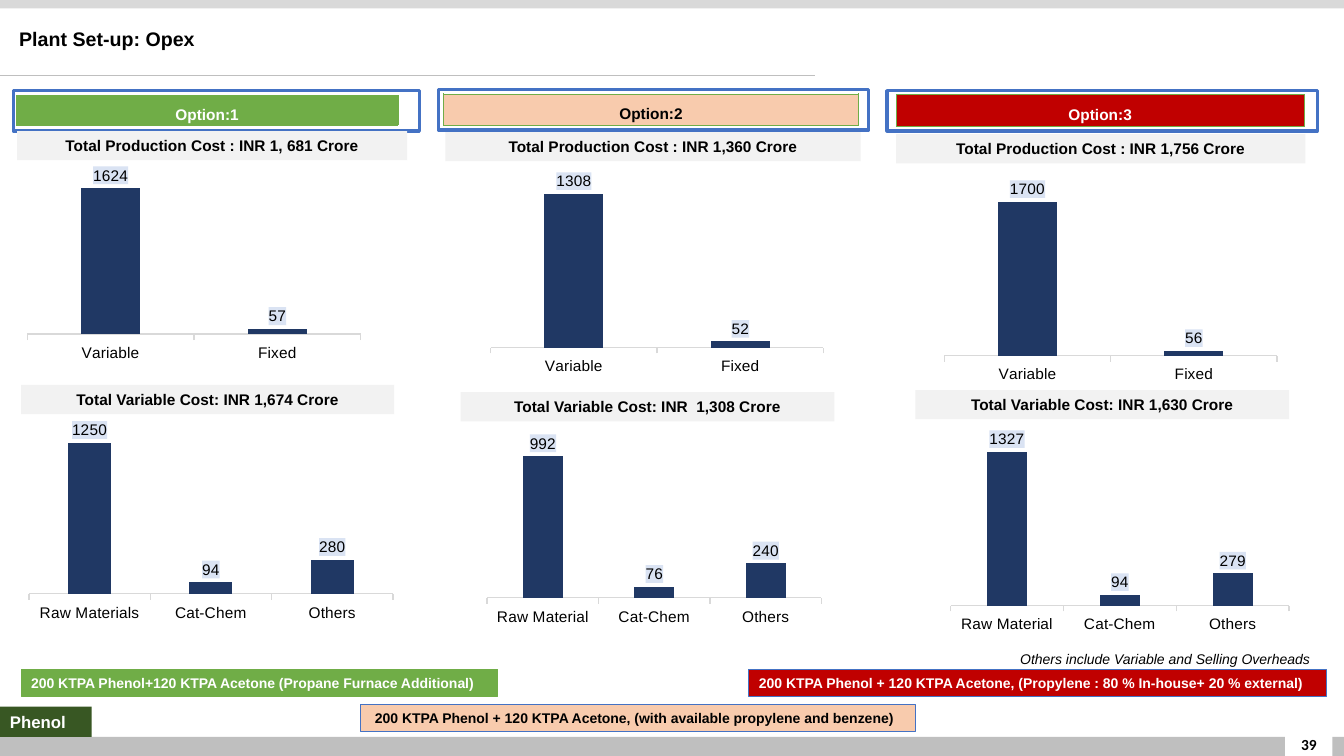
from pptx import Presentation
from pptx.chart.data import CategoryChartData
from pptx.dml.color import RGBColor
from pptx.enum import chart as ch, shapes as sh, text as tx
from pptx.oxml import ns, parse_xml
from pptx.util import Pt

HUES = {"black": "000000", "white": "FFFFFF", "green": "70AD47",
        "peach": "F8CBAD", "red": "C00000", "blue": "4472C4",
        "navy": "203864", "pale": "F2F2F2", "light": "D9D9D9",
        "gray": "BFBFBF", "forest": "385723", "label": "DAE3F3"}
LEFT, MID, RIGHT = tx.PP_ALIGN.LEFT, tx.PP_ALIGN.CENTER, tx.PP_ALIGN.RIGHT

COLS = [
    dict(box=(9.4, 64.8, 290.2, 28.8), name="Option:1", fill="green",
         ink="white", tag=(2.1, 3.6, 272.9, 20.9),
         parts=[
             dict(head="Total Production Cost : INR 1, 681 Crore",
                  strip=(2.9, 28.8, 278.6, 20.9), plot=(-37.4, 54, 331.9, 148.3),
                  area=(0.143, 0.029, 0.718, 0.78), top=1800,
                  data={"Variable": 1624, "Fixed": 57}),
             dict(head="Total Variable Cost: INR 1,674 Crore",
                  strip=(5.8, 210.2, 266.4, 20.9), plot=(-20.9, 230.4, 321.8, 162),
                  area=(0.1, 0.051, 0.808, 0.745), top=1400,
                  data={"Raw Materials": 1250, "Cat-Chem": 94, "Others": 280})]),
    dict(box=(313.2, 64.1, 307.4, 28.8), name="Option:2", fill="peach",
         ink="black", tag=(3.6, 2.9, 296.6, 22.3),
         parts=[
             dict(head="Total Production Cost : INR 1,360 Crore",
                  strip=(5, 30.2, 296.6, 20.9), plot=(-10.1, 59, 331.2, 145.4),
                  area=(0.143, 0.004, 0.718, 0.855), top=1450,
                  data={"Variable": 1308, "Fixed": 52}),
             dict(head="Total Variable Cost: INR  1,308 Crore",
                  strip=(15.8, 216, 267.1, 20.9), plot=(-10.1, 240.5, 307.4, 145.4),
                  area=(0.146, 0, 0.777, 0.842), top=1200,
                  data={"Raw Material": 992, "Cat-Chem": 76, "Others": 240})]),
    dict(box=(633.6, 64.8, 307.4, 28.8), name="Option:3", fill="red",
         ink="white", tag=(6.5, 2.9, 291.6, 22.3),
         parts=[
             dict(head="Total Production Cost : INR 1,756 Crore",
                  strip=(6.5, 31, 292.3, 20.9), plot=(-6.5, 64.1, 331.2, 145.4),
                  area=(0.143, 0.004, 0.718, 0.855), top=1880,
                  data={"Variable": 1700, "Fixed": 56}),
             dict(head="Total Variable Cost: INR 1,630 Crore",
                  strip=(20.2, 213.8, 267.1, 20.9), plot=(1.4, 242.6, 307.4, 145.4),
                  area=(0.143, 0.017, 0.787, 0.842), top=1450,
                  data={"Raw Material": 1327, "Cat-Chem": 94, "Others": 279})]),
]


def hue(name):
    """Give the colour of this name."""
    return RGBColor.from_string(HUES[name])


def pts(box):
    """Turn a box of numbers into points."""
    return [Pt(n) for n in box]


def shift(box, base):
    """Place a relative box at the corner of its base."""
    return (base[0] + box[0], base[1] + box[1], box[2], box[3])


def style(font, size, ink="black", bold=False, face="Arial"):
    """Set face, size, colour and weight of a font."""
    font.name, font.size, font.bold = face, Pt(size), bold
    font.color.rgb = hue(ink)


def write(frame, words, size, ink="black", align=MID, bold=True, face="Arial"):
    """Put one paragraph in a text frame."""
    frame.word_wrap = True
    frame.vertical_anchor = tx.MSO_ANCHOR.MIDDLE
    para = frame.paragraphs[0]
    para.text, para.alignment = words, align
    style(para.font, size, ink, bold, face)
    return para


def rect(slide, box, fill=None, line=None, wide=0.75):
    """Draw a plain rectangle."""
    shape = slide.shapes.add_shape(sh.MSO_SHAPE.RECTANGLE, *pts(box))
    shape.shadow.inherit = False
    if fill:
        shape.fill.solid()
        shape.fill.fore_color.rgb = hue(fill)
    else:
        shape.fill.background()
    if line:
        shape.line.color.rgb = hue(line)
        shape.line.width = Pt(wide)
    else:
        shape.line.fill.background()
    return shape


def tag(slide, box, words, fill, ink):
    """Draw the option name as a bordered one-cell table."""
    table = slide.shapes.add_table(1, 1, *pts(box)).table
    table.first_row = table.horz_banding = False
    cell = table.cell(0, 0)
    cell.margin_left = cell.margin_right = Pt(5)
    cell.margin_top = cell.margin_bottom = 0
    cell.vertical_anchor = tx.MSO_ANCHOR.MIDDLE
    para = cell.text_frame.paragraphs[0]
    para.text, para.alignment = words, MID
    para.line_spacing, para.space_after = 1.5, Pt(8)
    style(para.font, 11, ink, True)
    props = cell._tc.get_or_add_tcPr()
    for side in "LRTB":
        props.append(parse_xml(
            f'<a:ln{side} {ns.nsdecls("a")} w="6350"><a:solidFill>'
            f'<a:srgbClr val="{HUES["green"]}"/></a:solidFill></a:ln{side}>'))
    cell.fill.solid()
    cell.fill.fore_color.rgb = hue(fill)


def bars(slide, box, data, area, top):
    """Draw a column chart with shaded value labels."""
    feed = CategoryChartData(number_format="0")
    feed.categories = list(data)
    feed.add_series("Series 1", list(data.values()))
    chart = slide.shapes.add_chart(
        ch.XL_CHART_TYPE.COLUMN_CLUSTERED, *pts(box), feed).chart
    chart.has_title = chart.has_legend = False
    style(chart.font, 11)
    value, cats = chart.value_axis, chart.category_axis
    value.minimum_scale, value.maximum_scale = 0, top
    value.has_major_gridlines = False
    value.tick_label_position = ch.XL_TICK_LABEL_POSITION.NONE
    value.format.line.fill.background()
    cats.format.line.color.rgb = hue("light")
    cats.format.line.width = Pt(1)
    style(cats.tick_labels.font, 11)
    plot = chart.plots[0]
    plot.gap_width, plot.vary_by_categories = 181, False
    series = plot.series[0]
    series.format.fill.solid()
    series.format.fill.fore_color.rgb = hue("navy")
    labels = series.data_labels
    labels.show_value = True
    labels.number_format, labels.number_format_is_linked = "0", False
    labels.position = ch.XL_LABEL_POSITION.OUTSIDE_END
    style(labels.font, 11)
    labels._element.find(ns.qn("c:txPr")).addprevious(parse_xml(
        f'<c:spPr {ns.nsdecls("c", "a")}><a:solidFill>'
        f'<a:srgbClr val="{HUES["label"]}"/></a:solidFill></c:spPr>'))
    field = chart._chartSpace.chart.plotArea
    for old in field.findall(ns.qn("c:layout")):
        field.remove(old)
    sizes = "".join(f'<c:{k} val="{v}"/>' for k, v in zip("xywh", area))
    field.insert(0, parse_xml(
        f'<c:layout {ns.nsdecls("c")}><c:manualLayout>'
        '<c:layoutTarget val="inner"/><c:xMode val="edge"/>'
        f'<c:yMode val="edge"/>{sizes}</c:manualLayout></c:layout>'))


def column(slide, box, name, fill, ink, tag_box, parts):
    """Draw one option: frame, name, and two headed charts."""
    rect(slide, box, line="blue", wide=2.25)
    for part in parts:
        strip = rect(slide, shift(part["strip"], box), "pale")
        write(strip.text_frame, part["head"], 11)
        bars(slide, shift(part["plot"], box), part["data"], part["area"], part["top"])
    tag(slide, shift(tag_box, box), name, fill, ink)


def top(slide, box):
    """Draw the top bar, title and rule."""
    x, y, w, _ = box
    rect(slide, (x, y, w, 6), "light")
    title = slide.shapes.title
    title.left, title.top, title.width, title.height = pts((x + 6.5, y + 10.8, 584, 36))
    para = write(title.text_frame, "Plant Set-up: Opex", 14, align=LEFT)
    para.line_spacing = 0.9
    rule = slide.shapes.add_connector(
        sh.MSO_CONNECTOR.STRAIGHT, *pts((x, y + 53.5, x + 582.5, y + 53.5)))
    rule.line.color.rgb, rule.line.width = hue("gray"), Pt(0.5)
    rule._element.spPr.append(parse_xml(f'<a:effectLst {ns.nsdecls("a")}/>'))


def foot(slide, box):
    """Draw the legend, note, section name and page number."""
    x, y, w, h = box
    rect(slide, (x, y + h - 13.7, w, 13.7), "gray")
    rect(slide, (x + 918, y + h - 27, 33.8, 27), "white")
    page = slide.shapes.add_textbox(*pts((x + 911.5, y + 56.2, 46.8, 28.8)))
    write(page.text_frame, "39", 11, face="Calibri")
    keys = [
        ((15.1, 17.3, 340.6, 19.4), "green", "green", "white", 7.2,
         "200 KTPA Phenol+120 KTPA Acetone (Propane Furnace Additional)"),
        ((257.8, 42.5, 396, 19.4), "peach", "blue", "black", 10,
         "200 KTPA Phenol + 120 KTPA Acetone, (with available propylene and benzene)"),
        ((535, 17.3, 412.6, 19.4), "red", "blue", "white", 7.2,
         "200 KTPA Phenol + 120 KTPA Acetone, (Propylene : 80 % In-house+ 20 % external)"),
    ]
    for place, fill, line, ink, pad, words in keys:
        key = rect(slide, shift(place, box), fill, line)
        key.text_frame.margin_left = Pt(pad)
        write(key.text_frame, words, 10, ink, LEFT)
    name = rect(slide, (x, y + 44, 65.5, 21.6), "forest")
    write(name.text_frame, "Phenol", 12, "white", LEFT)
    note = slide.shapes.add_textbox(*pts((x + 643, y, 299.5, 19.4)))
    para = write(note.text_frame, "Others include Variable and Selling Overheads",
                 10, align=RIGHT, bold=False)
    para.font.italic = True


def main():
    """Build and save the slide."""
    deck = Presentation()
    deck.slide_width, deck.slide_height = Pt(960), Pt(540)
    slide = deck.slides.add_slide(deck.slide_layouts[5])
    top(slide, (0, 0, 960, 60))
    for col in COLS:
        column(slide, col["box"], col["name"], col["fill"], col["ink"],
               col["tag"], col["parts"])
    foot(slide, (0, 460.8, 960, 79.2))
    deck.save("out.pptx")


if __name__ == "__main__":
    main()
